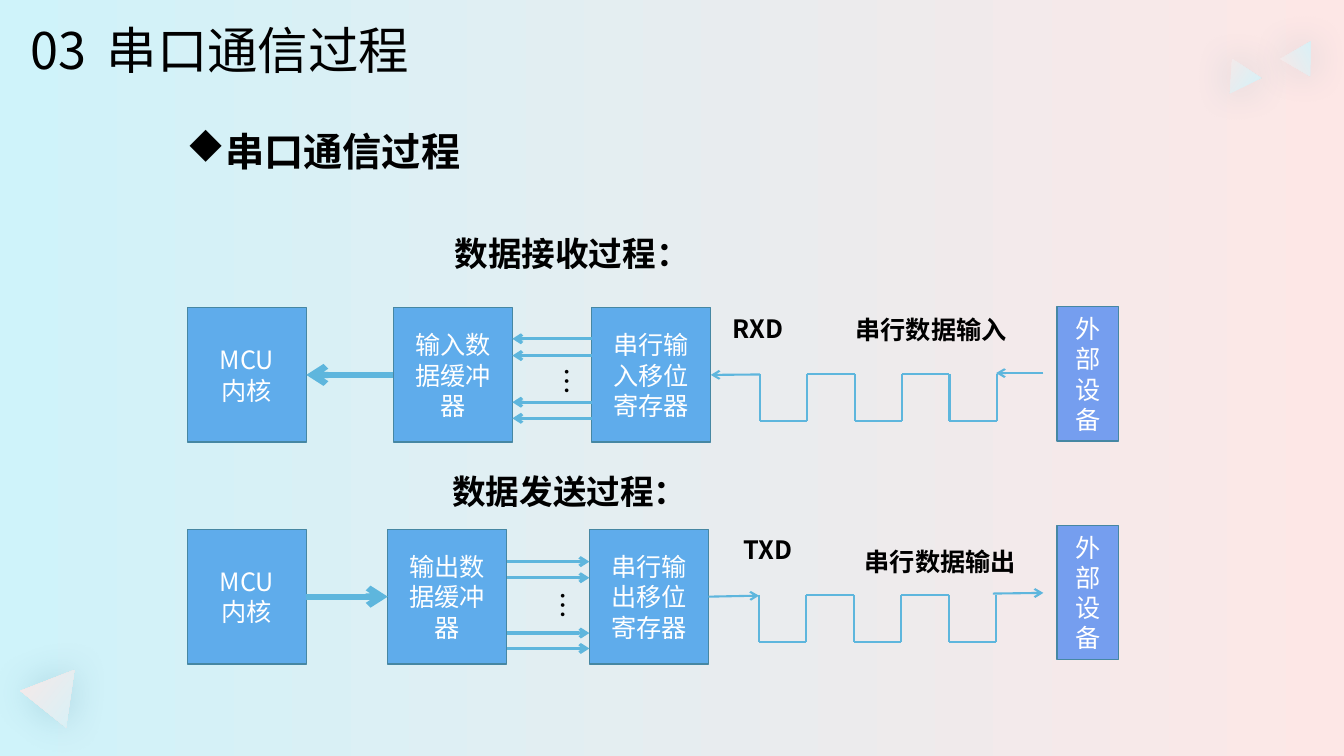
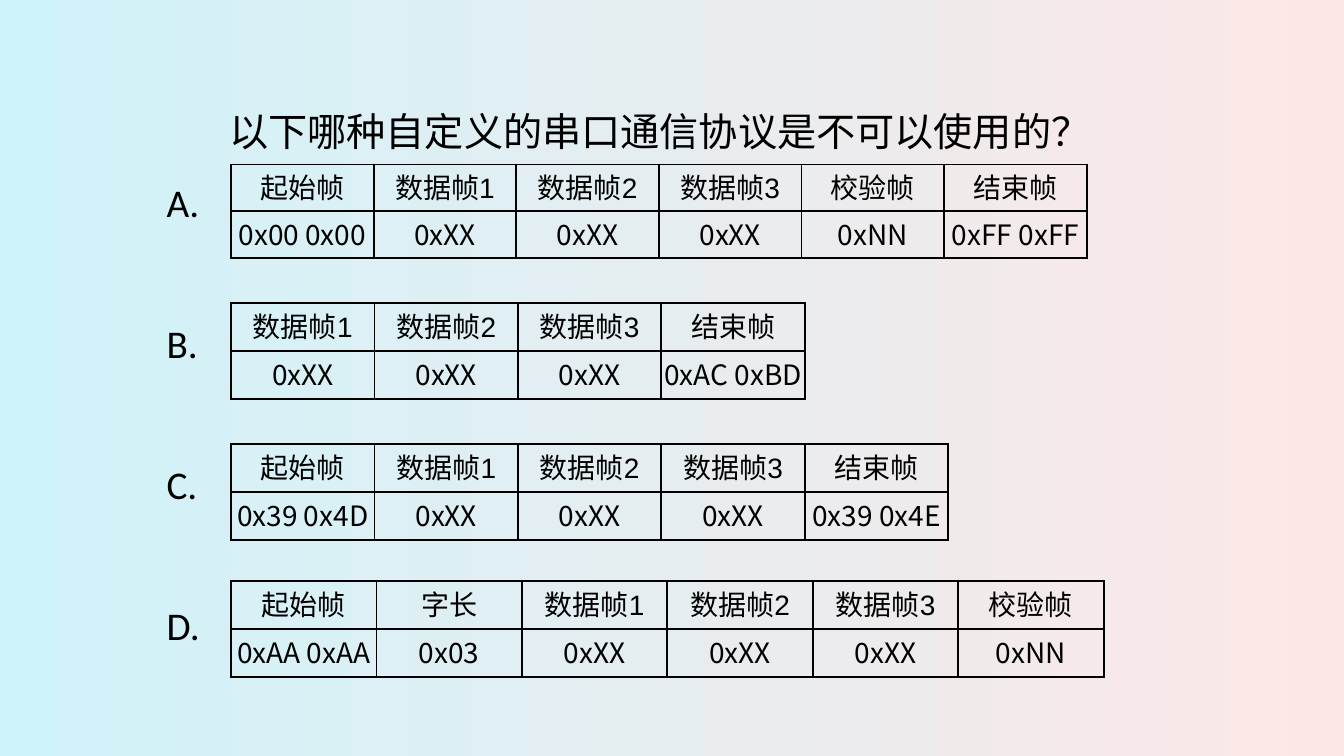
from itertools import pairwise

from lxml import etree
from pptx import Presentation
from pptx import util as u
from pptx.dml import color as c
from pptx.enum import shapes, text
from pptx.oxml import ns

Pt = u.Pt
rgb = c.RGBColor.from_string
CJK_FONT = "Noto Sans CJK SC"
BLACK, WHITE = "000000", "FFFFFF"
CYAN, PINK = "CFF3FA", "FDE7E6"
BLOCK_BLUE, DEVICE_BLUE = "5FACEB", "759EEF"
OUTLINE, SIGNAL = "4687A3", "5EB6DD"
LEFT, CENTER = text.PP_ALIGN.LEFT, text.PP_ALIGN.CENTER
MIDDLE = text.MSO_ANCHOR.MIDDLE


def write_text(frame, content, size=18, bold=False, color=BLACK, font=CJK_FONT,
               align=LEFT, anchor=None):
    """Fill a text frame, one paragraph for each line of content."""
    frame.text = content
    frame.word_wrap = True
    if anchor is not None:
        frame.vertical_anchor = anchor
    for paragraph in frame.paragraphs:
        paragraph.alignment = align
        for run in paragraph.runs:
            run.font.size = Pt(size)
            run.font.bold = bold
            run.font.name = font
            run.font.color.rgb = rgb(color)
            properties = run._r.get_or_add_rPr()
            etree.SubElement(properties, ns.qn("a:ea")).set("typeface", CJK_FONT)


def add_line(slide, start, end, width, arrow=True):
    line = slide.shapes.add_connector(
        shapes.MSO_CONNECTOR.STRAIGHT, *(Pt(value) for value in (*start, *end)))
    line.line.color.rgb = rgb(SIGNAL)
    line.line.width = Pt(width)
    if arrow:
        etree.SubElement(line.line._get_or_add_ln(), ns.qn("a:tailEnd")).set("type", "arrow")
    etree.SubElement(line._element.spPr, ns.qn("a:effectLst"))
    return line


presentation = Presentation()
presentation.slide_width, presentation.slide_height = Pt(960), Pt(540)
title_layout = presentation.slide_layouts[5]
process_slide = presentation.slides.add_slide(title_layout)
quiz_slide = presentation.slides.add_slide(title_layout)

# Titles
for slide, title_text, size, place in (
    (process_slide, "串口通信过程", 36, (69, 10, 303, 51)),
    (quiz_slide, "以下哪种自定义的串口通信协议是不可以使用的？", 28, (156.5, 71.7, 660, 44)),
):
    title = slide.shapes.title
    title.left, title.top, title.width, title.height = map(Pt, place)
    title.text_frame.auto_size = text.MSO_AUTO_SIZE.NONE
    write_text(title.text_frame, title_text, size, anchor=MIDDLE)

# Background and corner triangles share one gradient
gradients = [(presentation.slide_master.background.fill, CYAN, PINK)]
for left, top, width, height, rotation, flipped in (
    (21, 474.5, 42, 36, 38.6, False),
    (872, 47, 25, 21.5, 33.6, True),
    (918, 34.5, 25, 21.5, 330.2, True),
):
    triangle = process_slide.shapes.add_shape(
        shapes.MSO_SHAPE.ISOSCELES_TRIANGLE, Pt(left), Pt(top), Pt(width), Pt(height))
    triangle.rotation = rotation
    triangle.line.fill.background()
    if flipped:
        triangle._element.spPr.find(ns.qn("a:xfrm")).set("flipV", "1")
    triangle.shadow.inherit = False
    effects = triangle._element.spPr.find(ns.qn("a:effectLst"))
    shadow = etree.SubElement(effects, ns.qn("a:outerShdw"))
    shadow.set("blurRad", str(Pt(27)))
    shadow.set("dist", "0")
    shadow_color = etree.SubElement(shadow, ns.qn("a:srgbClr"))
    shadow_color.set("val", "1B6382")
    etree.SubElement(shadow_color, ns.qn("a:alpha")).set("val", "20000")
    gradients.append((triangle.fill, PINK, CYAN))
for fill, *stop_colors in gradients:
    fill.gradient()
    fill.gradient_angle = 0
    for stop, stop_color in zip(fill.gradient_stops, stop_colors):
        stop.color.rgb = rgb(stop_color)

# Receiving and sending chains
BLOCK_WIDTH, BLOCK_HEIGHT, DEVICE_WIDTH = 85, 96, 44
MCU_LEFT, DEVICE_LEFT = 133.8, 755
WAVE_STEP, WAVE_HEIGHT = 33.85, 33.7
chains = (
    dict(receiving=True, middle=267.8, buffer=("输入数据缓冲器", 281),
         register=("串行输入移位寄存器", 422.7), device_top=219,
         bit_offsets=(-25.8, -13.8, 19.5, 31), wave=(542.8, 267),
         device_arrow=((745.3, 266.5), (711.5, 266.5))),
    dict(receiving=False, middle=426.2, buffer=("输出数据缓冲器", 277),
         register=("串行输出移位寄存器", 421), device_top=375.2,
         bit_offsets=(-25, -13.5, 26, 37), wave=(542.2, 425),
         device_arrow=((709.2, 424), (745.3, 423.5))),
)
for chain in chains:
    middle, receiving = chain["middle"], chain["receiving"]
    block_top = middle - BLOCK_HEIGHT / 2
    buffer_text, buffer_left = chain["buffer"]
    register_text, register_left = chain["register"]
    blocks = []
    for content, left, top, width, color in (
        ("MCU\n内核", MCU_LEFT, block_top, BLOCK_WIDTH, BLOCK_BLUE),
        (buffer_text, buffer_left, block_top, BLOCK_WIDTH, BLOCK_BLUE),
        (register_text, register_left, block_top, BLOCK_WIDTH, BLOCK_BLUE),
        ("外部设备", DEVICE_LEFT, chain["device_top"], DEVICE_WIDTH, DEVICE_BLUE),
    ):
        block = process_slide.shapes.add_shape(
            shapes.MSO_SHAPE.RECTANGLE, Pt(left), Pt(top), Pt(width), Pt(BLOCK_HEIGHT))
        block.shadow.inherit = False
        block.fill.solid()
        block.fill.fore_color.rgb = rgb(color)
        block.line.color.rgb = rgb(OUTLINE)
        block.line.width = Pt(1)
        write_text(block.text_frame, content, color=WHITE, align=CENTER, anchor=MIDDLE)
        blocks.append(block)
    mcu, buffer, register, device = blocks

    # Each link is listed left to right and turned round for receiving
    wave_left, wave_top = chain["wave"]
    direction = -1 if receiving else 1
    bus_ends = ((MCU_LEFT + BLOCK_WIDTH, middle), (buffer_left, middle))
    bus = add_line(process_slide, *bus_ends[::direction], 4.5)
    (source, source_site), (target, target_site) = ((mcu, 3), (buffer, 1))[::direction]
    bus.begin_connect(source, source_site)
    bus.end_connect(target, target_site)
    for offset in chain["bit_offsets"]:
        y = middle + offset
        bit_ends = ((buffer_left + BLOCK_WIDTH, y), (register_left, y))
        add_line(process_slide, *bit_ends[::direction], 2.25)
    serial_ends = ((register_left + BLOCK_WIDTH, middle), (wave_left, wave_top + 0.5))
    serial = add_line(process_slide, *serial_ends[::direction], 1.5)
    if receiving:
        serial.end_connect(register, 3)
    else:
        serial.begin_connect(register, 3)
    add_line(process_slide, *chain["device_arrow"], 1.5)

    # Square wave: the level changes at every step
    levels = (wave_top, wave_top + WAVE_HEIGHT)
    wave_points = []
    for step in range(6):
        x = wave_left + step * WAVE_STEP
        wave_points += [(x, levels[step % 2]), (x, levels[1 - step % 2])]
    for start, end in pairwise(wave_points):
        add_line(process_slide, start, end, 1.5, arrow=False)

# Labels of the process slide
for content, left, top, width, height, size, bold in (
    ("03", 15, 10, 70, 51, 36, False),
    ("串口通信过程", 126, 87.5, 225, 41, 28, True),
    ("数据接收过程：", 317.5, 162.5, 195, 36, 24, True),
    ("数据发送过程：", 316, 332.5, 195, 36, 24, True),
    ("RXD", 516, 220, 60, 29, 18, True),
    ("TXD", 524, 378, 60, 29, 18, True),
    ("串行数据输入", 604, 221, 135, 29, 18, True),
    ("串行数据输出", 610.5, 386.5, 135, 29, 18, True),
    ("…", 381, 255.8, 40, 28, 20, False),
    ("…", 378.5, 415.5, 40, 28, 20, False),
):
    label = process_slide.shapes.add_textbox(Pt(left), Pt(top), Pt(width), Pt(height))
    write_text(label.text_frame, content, size, bold, anchor=MIDDLE if content == "03" else None)
    if content == "…":
        label.text_frame._txBody.bodyPr.set("vert", "eaVert")
    if size == 28:
        bullet_properties = label.text_frame.paragraphs[0]._p.get_or_add_pPr()
        bullet_properties.set("marL", str(Pt(22.5)))
        bullet_properties.set("indent", str(-Pt(22.5)))
        # In Wingdings the letter u draws a black diamond
        etree.SubElement(bullet_properties, ns.qn("a:buFont")).set("typeface", "Wingdings")
        etree.SubElement(bullet_properties, ns.qn("a:buChar")).set("char", "u")

# Answer options of the quiz slide
options = (
    ("A.", 117.5, 101.9, 33.5,
     ("起始帧", "数据帧1", "数据帧2", "数据帧3", "校验帧", "结束帧"),
     ("0x00 0x00", "0xXX", "0xXX", "0xXX", "0xNN", "0xFF 0xFF")),
    ("B.", 216.5, 102.5, 34.2,
     ("数据帧1", "数据帧2", "数据帧3", "结束帧"),
     ("0xXX", "0xXX", "0xXX", "0xAC 0xBD")),
    ("C.", 317.3, 102.5, 34.2,
     ("起始帧", "数据帧1", "数据帧2", "数据帧3", "结束帧"),
     ("0x39 0x4D", "0xXX", "0xXX", "0xXX", "0x39 0x4E")),
    ("D.", 415, 103.9, 34.3,
     ("起始帧", "字长", "数据帧1", "数据帧2", "数据帧3", "校验帧"),
     ("0xAA 0xAA", "0x03", "0xXX", "0xXX", "0xXX", "0xNN")),
)
for index, (letter, top, column_width, row_height, *rows) in enumerate(options):
    option_label = quiz_slide.shapes.add_textbox(
        Pt(112), Pt(124 + 100.8 * index), Pt(45), Pt(40))
    write_text(option_label.text_frame, letter, 28, font="Calibri", anchor=MIDDLE)

    column_count = len(rows[0])
    table = quiz_slide.shapes.add_table(
        2, column_count, Pt(165), Pt(top),
        Pt(column_width * column_count), Pt(row_height * 2)).table
    table.first_row = table.horz_banding = False
    for column in table.columns:
        column.width = Pt(column_width)
    for row, values, font in zip(table.rows, rows, ("Arial", CJK_FONT)):
        row.height = Pt(row_height)
        for cell, value in zip(row.cells, values):
            cell.margin_left = cell.margin_right = cell.margin_top = Pt(0.7)
            cell.margin_bottom = Pt(3.6)
            cell.vertical_anchor = MIDDLE
            write_text(cell.text_frame, value, 20, font=font, align=CENTER)
            cell_properties = cell._tc.get_or_add_tcPr()
            for side in ("a:lnL", "a:lnR", "a:lnT", "a:lnB"):
                border = etree.SubElement(cell_properties, ns.qn(side))
                border.set("w", str(Pt(1.5)))
                border_fill = etree.SubElement(border, ns.qn("a:solidFill"))
                etree.SubElement(border_fill, ns.qn("a:srgbClr")).set("val", BLACK)
            cell.fill.background()

presentation.save("out.pptx")
